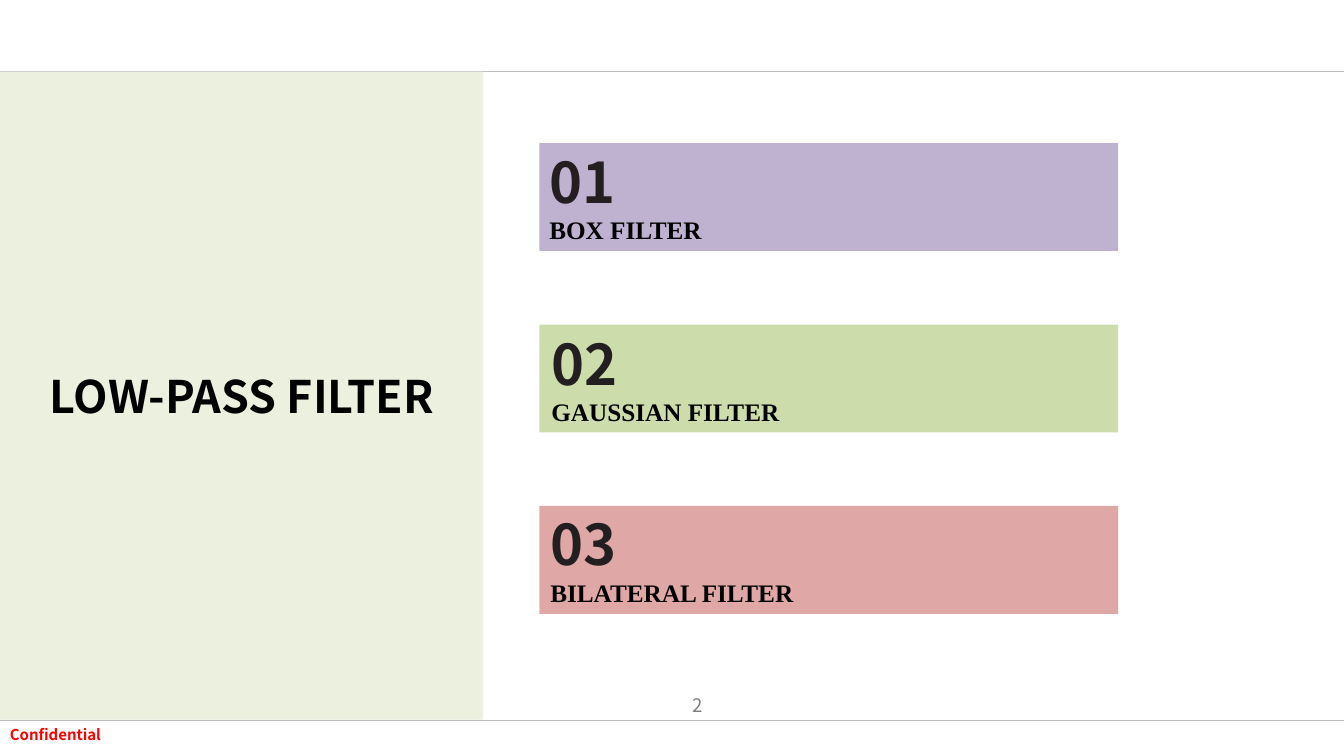
from dataclasses import dataclass

from lxml import etree
from pptx import Presentation
from pptx.dml.color import RGBColor
from pptx.enum.shapes import MSO_CONNECTOR, MSO_SHAPE
from pptx.enum.text import MSO_ANCHOR, PP_ALIGN
from pptx.oxml.ns import qn
from pptx.util import Inches, Pt

STRAIGHT = MSO_CONNECTOR.STRAIGHT
RECTANGLE = MSO_SHAPE.RECTANGLE
TOP, MIDDLE = MSO_ANCHOR.TOP, MSO_ANCHOR.MIDDLE
LEFT, CENTER, RIGHT = PP_ALIGN.LEFT, PP_ALIGN.CENTER, PP_ALIGN.RIGHT
SANS, SERIF = "Noto Sans CJK KR", "Times New Roman"
COLORS = {
    "rule": "BFBFBF",
    "panel": "EBF1DE",
    "purple": "8064A2",
    "green": "9BBB59",
    "red": "C0504D",
    "number": "231F20",
    "black": "000000",
    "page_number": "808080",
    "confidential": "FF0000",
}


@dataclass
class FilterCard:
    number: str
    name: str
    color: str
    text_left: float
    text_top: float
    text_width: float


CARDS = [
    FilterCard("01", "BOX FILTER", "purple", 5.35, 1.41, 6.76),
    FilterCard("02", "GAUSSIAN FILTER", "green", 5.37, 3.22, 6.76),
    FilterCard("03", "BILATERAL FILTER", "red", 5.36, 5.01, 5.45),
]
CARD_LEFT, CARD_TOP, CARD_WIDTH, CARD_HEIGHT = 5.35, 1.42, 5.74, 1.07
CARD_STEP = 1.8


def rgb(name: str) -> RGBColor:
    return RGBColor.from_string(COLORS[name])


def add_rule(page, start: float, end: float, top: float) -> None:
    rule = page.shapes.add_connector(
        STRAIGHT, Inches(start), Inches(top), Inches(end), Inches(top))
    rule.line.color.rgb = rgb("rule")
    rule.line.width = Pt(1)
    etree.SubElement(rule._element.spPr, qn("a:effectLst"))


def add_rectangle(page, left: float, top: float, width: float, height: float,
                  color: str, opacity: int = 100) -> None:
    box = page.shapes.add_shape(
        RECTANGLE, Inches(left), Inches(top), Inches(width), Inches(height))
    box.shadow.inherit = False
    box.line.fill.background()
    box.fill.solid()
    box.fill.fore_color.rgb = rgb(color)
    if opacity < 100:
        color_element = box._element.spPr.find(qn("a:solidFill"))[0]
        etree.SubElement(color_element, qn("a:alpha"), val=str(opacity * 1000))


def add_box(page, left: float, top: float, width: float, height: float,
            anchor=TOP):
    box = page.shapes.add_textbox(
        Inches(left), Inches(top), Inches(width), Inches(height))
    frame = box.text_frame
    frame.word_wrap = True
    frame.vertical_anchor = anchor
    return frame


def write(para, text: str, *, size: float, color: str, font: str = SANS,
          bold: bool = False, align=LEFT) -> None:
    para.alignment = align
    span = para.add_run()
    span.text = text
    span.font.name = font
    span.font.size = Pt(size)
    span.font.bold = bold
    span.font.color.rgb = rgb(color)


def add_card(page, card: FilterCard, top: float) -> None:
    add_rectangle(page, CARD_LEFT, top, CARD_WIDTH, CARD_HEIGHT,
                  card.color, opacity=50)
    frame = add_box(page, card.text_left, card.text_top, card.text_width, 1.08)
    write(frame.paragraphs[0], card.number, size=40, color="number", bold=True)
    write(frame.add_paragraph(), card.name, size=18, color="black",
          font=SERIF, bold=True)


def main() -> None:
    deck = Presentation()
    deck.slide_width = Inches(13.33)
    deck.slide_height = Inches(7.5)
    page = deck.slides.add_slide(deck.slide_layouts[6])

    footer = add_box(page, 0, 7.15, 2.29, 0.28)
    write(footer.paragraphs[0], "Confidential", size=10.7,
          color="confidential", bold=True)
    add_rule(page, -0.1, 13.39, 0.71)
    add_rule(page, 0, 13.33, 7.15)
    page_number = add_box(page, 6.32, 6.79, 0.75, 0.4, MIDDLE)
    write(page_number.paragraphs[0], "2", size=13.3, color="page_number",
          align=RIGHT)

    add_rectangle(page, 0, 0.71, 4.79, 6.43, "panel")
    title = add_box(page, 0.12, 3.72, 4.56, 0.4, MIDDLE)
    write(title.paragraphs[0], "LOW-PASS FILTER", size=32, color="black",
          bold=True, align=CENTER)

    for index, card in enumerate(CARDS):
        add_card(page, card, CARD_TOP + index * CARD_STEP)

    deck.save("out.pptx")


if __name__ == "__main__":
    main()
